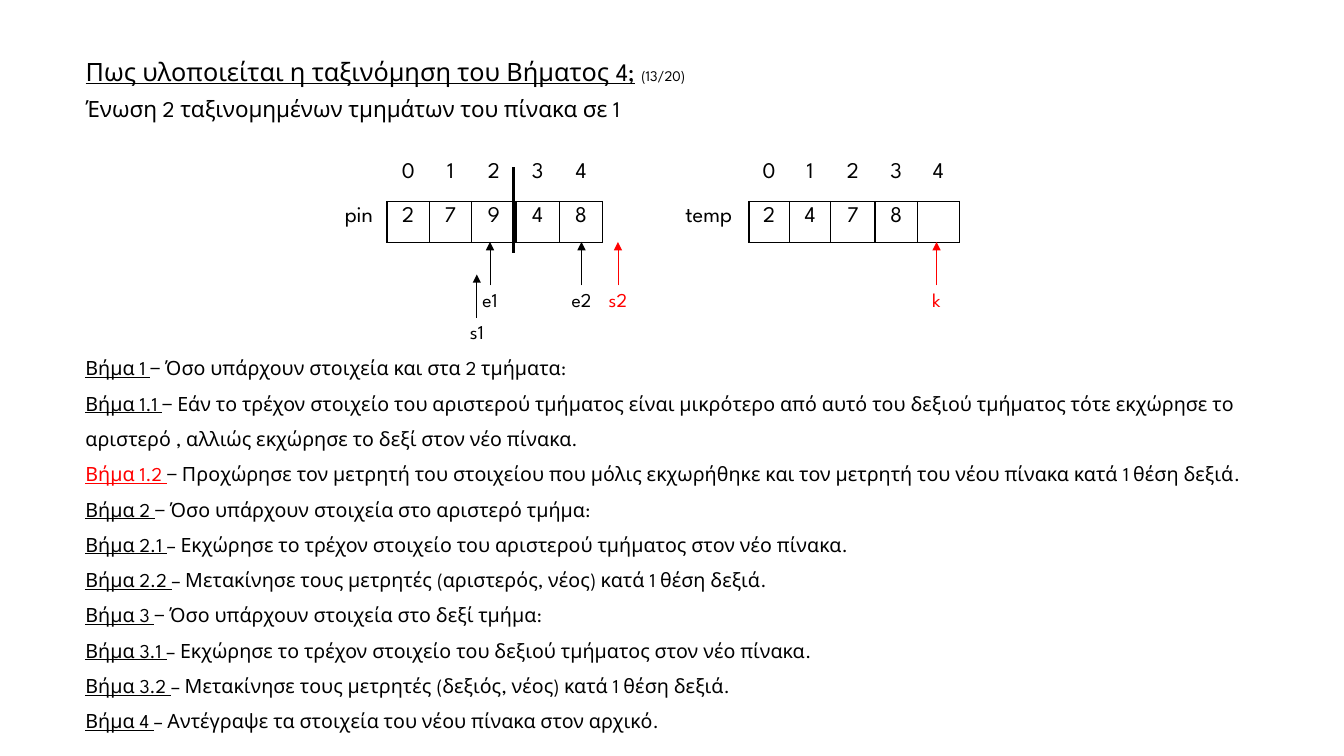
"""Build the slide that merges two sorted parts of an array."""
from dataclasses import dataclass

from lxml import etree
from pptx import Presentation
from pptx.dml.color import RGBColor
from pptx.enum.shapes import MSO_CONNECTOR
from pptx.enum.text import MSO_ANCHOR, MSO_AUTO_SIZE, PP_ALIGN
from pptx.oxml.ns import qn
from pptx.util import Pt

LINE = MSO_CONNECTOR.STRAIGHT
LEFT, CENTER = PP_ALIGN.LEFT, PP_ALIGN.CENTER
TOP, MIDDLE = MSO_ANCHOR.TOP, MSO_ANCHOR.MIDDLE
FIXED = MSO_AUTO_SIZE.NONE
BLACK = RGBColor(0x00, 0x00, 0x00)
RED = RGBColor(0xFF, 0x00, 0x00)
FONT = "League Spartan"
PLAIN_STYLE = "{2D5ABB26-0587-4C30-8999-92F81FD0307C}"
LABEL_W, LABEL_H, ARROW_H = 34, 25, 31


@dataclass
class Piece:
    text: str
    size: float
    color: RGBColor = BLACK
    under: bool = False


@dataclass
class Array:
    name: str
    left: float
    widths: list[float]
    values: list[str]


@dataclass
class Marker:
    name: str
    x: float
    tip: float
    color: RGBColor = BLACK


@dataclass
class Step:
    number: str
    text: str
    color: RGBColor = BLACK


ARRAYS = [
    Array("temp", 477.4, [57.6, 28.8, 29.5, 31.7, 30.2, 30.2], ["2", "4", "7", "8", ""]),
    Array("pin", 236.2, [40.3, 30.2, 30.2, 31.7, 31, 31], ["2", "7", "9", "4", "8"]),
]
MARKERS = [
    Marker("s2", 441.4, 172.8, RED),
    Marker("e2", 415.4, 172.8),
    Marker("s1", 340.6, 196),
    Marker("e1", 350, 172.8),
    Marker("k", 669, 172.8, RED),
]
STEPS = [
    Step("1", "− Όσο υπάρχουν στοιχεία και στα 2 τμήματα:"),
    Step("1.1", "− Εάν το τρέχον στοιχείο του αριστερού τμήματος είναι μικρότερο από αυτό του "
         "δεξιού τμήματος τότε εκχώρησε το αριστερό , αλλιώς εκχώρησε το δεξί στον νέο πίνακα."),
    Step("1.2", "− Προχώρησε τον μετρητή του στοιχείου που μόλις εκχωρήθηκε και τον μετρητή "
         "του νέου πίνακα κατά 1 θέση δεξιά.", RED),
    Step("2", "− Όσο υπάρχουν στοιχεία στο αριστερό τμήμα:"),
    Step("2.1", "– Εκχώρησε το τρέχον στοιχείο του αριστερού τμήματος στον νέο πίνακα."),
    Step("2.2", "– Μετακίνησε τους μετρητές (αριστερός, νέος) κατά 1 θέση δεξιά."),
    Step("3", "− Όσο υπάρχουν στοιχεία στο δεξί τμήμα:"),
    Step("3.1", "– Εκχώρησε το τρέχον στοιχείο του δεξιού τμήματος στον νέο πίνακα."),
    Step("3.2", "– Μετακίνησε τους μετρητές (δεξιός, νέος) κατά 1 θέση δεξιά."),
    Step("4", "– Αντέγραψε τα στοιχεία του νέου πίνακα στον αρχικό."),
]


def style(run, size: float, color: RGBColor, under: bool = False) -> None:
    font = run.font
    font.name, font.size, font.underline = FONT, Pt(size), under
    font.color.rgb = color


def write(frame, lines: list[list[Piece]], space: float, align=LEFT, gap: float = 0) -> None:
    frame.word_wrap = True
    frame.auto_size = FIXED
    for i, line in enumerate(lines):
        para = frame.add_paragraph() if i else frame.paragraphs[0]
        para.alignment, para.line_spacing = align, space
        para.space_before = Pt(gap if i else 0)
        for piece in line:
            run = para.add_run()
            run.text = piece.text
            style(run, piece.size, piece.color, piece.under)


def add_box(slide, left: float, top: float, width: float, height: float):
    box = slide.shapes.add_textbox(Pt(left), Pt(top), Pt(width), Pt(height))
    box.text_frame.vertical_anchor = TOP
    return box


def add_line(slide, x: float, start: float, end: float, width: float, color: RGBColor):
    line = slide.shapes.add_connector(LINE, Pt(x), Pt(start), Pt(x), Pt(end))
    line.line.width = Pt(width)
    line.line.color.rgb = color
    etree.SubElement(line._element.spPr, qn("a:effectLst"))
    return line


def add_mark(slide, mark: Marker) -> None:
    base = mark.tip + ARROW_H
    label = add_box(slide, mark.x - LABEL_W / 2, base, LABEL_W, LABEL_H)
    write(label.text_frame, [[Piece(mark.name, 14, mark.color)]], 0.9, CENTER)
    arrow = add_line(slide, mark.x, base, mark.tip, 0.5, mark.color)
    arrow.begin_connect(label, 0)
    etree.SubElement(arrow.line._get_or_add_ln(), qn("a:tailEnd"), type="triangle")


def set_edges(cell, sides: str) -> None:
    props = cell._tc.get_or_add_tcPr()
    for i, side in enumerate(sides):
        edge = etree.Element(qn(f"a:ln{side}"), w=str(Pt(1)))
        fill = etree.SubElement(edge, qn("a:solidFill"))
        etree.SubElement(fill, qn("a:srgbClr"), val=str(BLACK))
        props.insert(i, edge)


def add_array(slide, array: Array) -> None:
    count = len(array.values)
    rows = [["", *map(str, range(count))], [array.name, *array.values]]
    frame = slide.shapes.add_table(2, count + 1, Pt(array.left), Pt(113),
                                   Pt(sum(array.widths)), Pt(60))
    frame._element.xpath(".//a:tableStyleId")[0].text = PLAIN_STYLE
    table = frame.table
    table.first_row = table.horz_banding = False
    for col, width in zip(table.columns, array.widths):
        col.width = Pt(width)
    for row, height in zip(table.rows, (31, 29)):
        row.height = Pt(height)
    for r, texts in enumerate(rows):
        for c, text in enumerate(texts):
            cell = table.cell(r, c)
            cell.margin_bottom = 0
            cell.fill.background()
            para = cell.text_frame.paragraphs[0]
            para.text, para.alignment = text, CENTER
            for run in para.runs:
                style(run, 16, BLACK)
            if r and c:
                set_edges(cell, "LRTB")
            elif r or c:
                set_edges(cell, "R" if r else "B")


def main() -> None:
    deck = Presentation()
    deck.slide_width, deck.slide_height = Pt(960), Pt(540)
    slide = deck.slides.add_slide(deck.slide_layouts[5])
    title = slide.shapes.title
    title.left, title.top, title.width, title.height = Pt(54), Pt(37.4), Pt(777), Pt(55.4)
    title.text_frame.vertical_anchor = MIDDLE
    write(title.text_frame, [
        [Piece("Πως υλοποιείται η ταξινόμηση του Βήματος 4;", 18, under=True),
         Piece(" ", 18), Piece("(13/20)", 10.5)],
        [Piece("Ένωση 2 ταξινομημένων τμημάτων του πίνακα σε 1", 16)],
    ], 0.9, gap=8)
    steps = add_box(slide, 54, 242.6, 889, 283.7)
    write(steps.text_frame, [
        [Piece(f"Βήμα {step.number} ", 14, step.color, True), Piece(step.text, 14)]
        for step in STEPS
    ], 1.5)
    for array in ARRAYS:
        add_array(slide, array)
    add_line(slide, 366.5, 180.7, 119.5, 2.25, BLACK)
    for mark in MARKERS:
        add_mark(slide, mark)
    deck.save("out.pptx")


if __name__ == "__main__":
    main()
